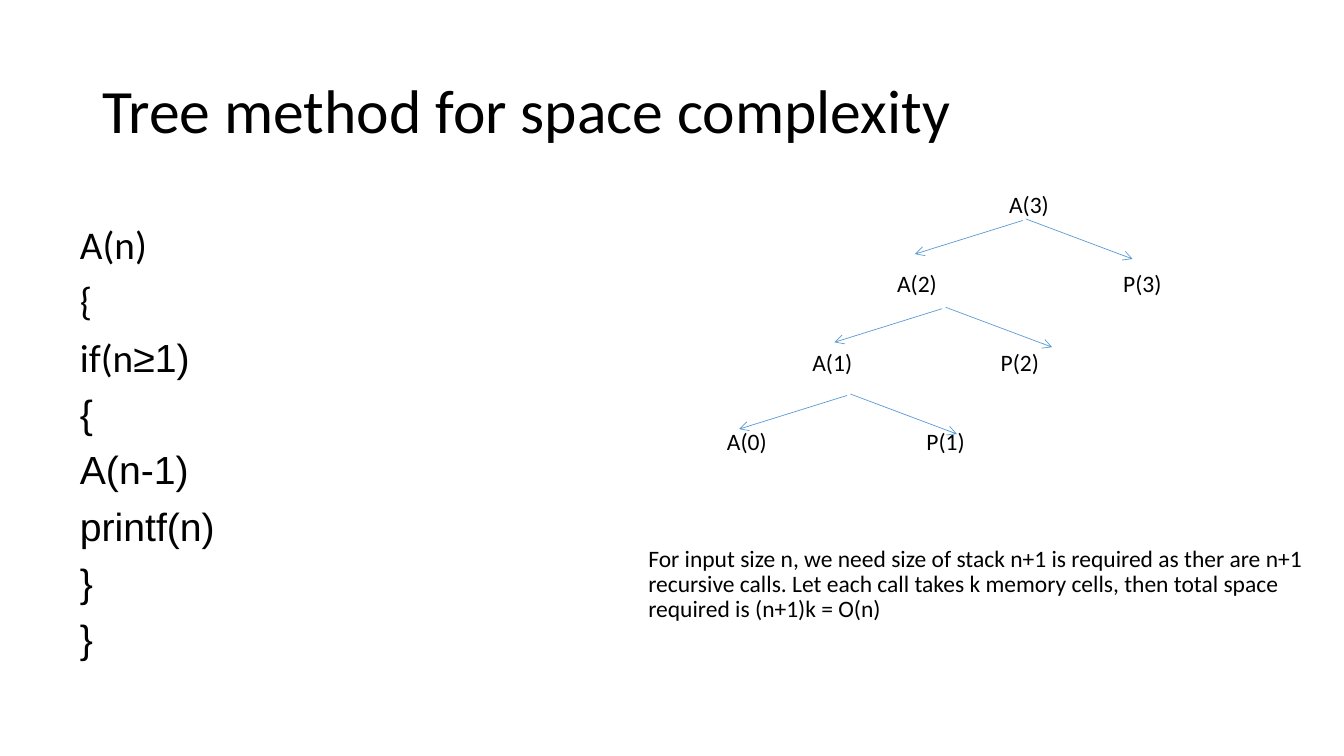
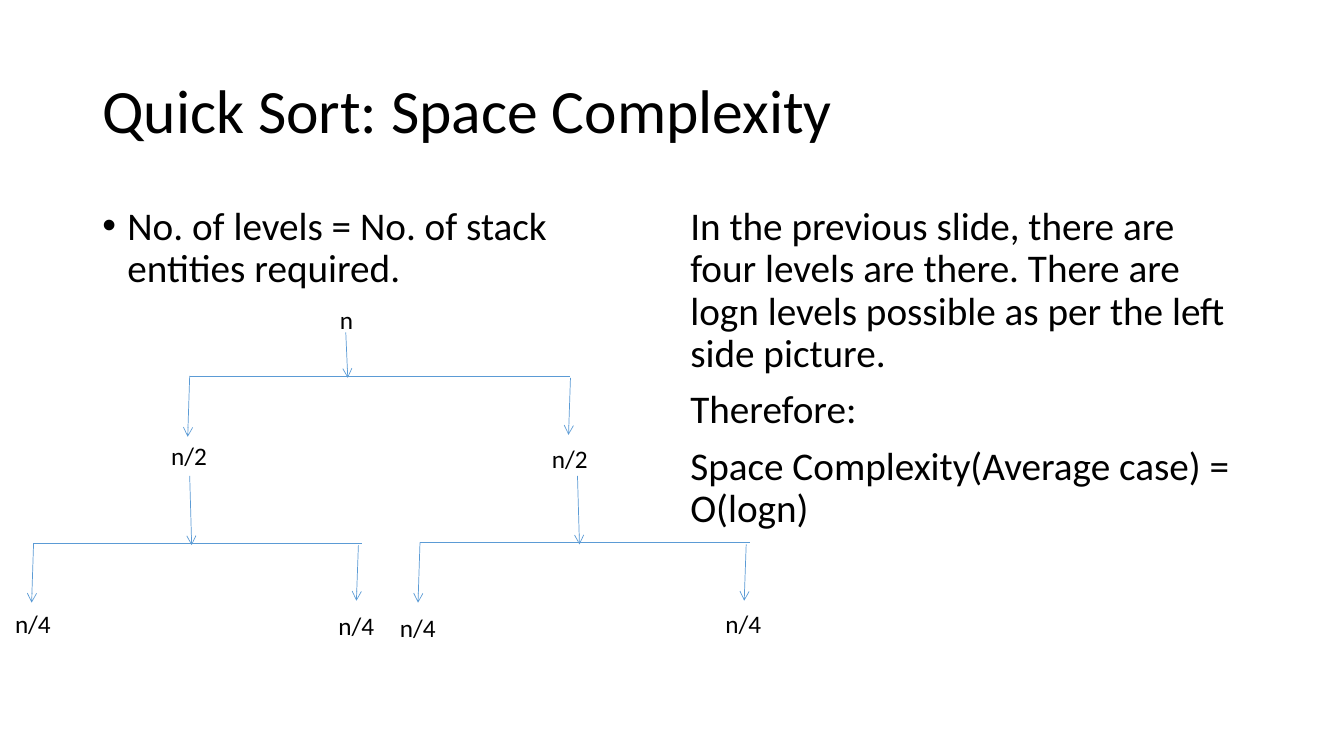
from dataclasses import dataclass

import lxml.etree
import pptx
import pptx.dml.color
import pptx.enum.shapes
import pptx.enum.text
import pptx.oxml.ns
import pptx.util

Pt = pptx.util.Pt
ALIGN = pptx.enum.text.PP_ALIGN
ANCHOR = pptx.enum.text.MSO_ANCHOR

BLACK = "000000"
LINE_BLUE = "5B9BD5"
BODY_FONT = "Calibri"
CODE_FONT = "Arial"
TITLE_SIZE = 44
BODY_SIZE = 28
TREE_SIZE = 16.8
LABEL_SIZE = 18
LINE_SPACING = 0.9
PARAGRAPH_GAP = 10


@dataclass(frozen=True)
class Box:
    left: float
    top: float
    width: float
    height: float


@dataclass(frozen=True)
class Label:
    text: str
    center_x: float
    center_y: float


@dataclass(frozen=True)
class Fork:
    apex_x: float
    apex_y: float


@dataclass(frozen=True)
class Bracket:
    """A stem falling on a bar, with an arrow dropping from each bar end."""
    stem_x: float
    stem_top: float
    left: float
    right: float
    bar_y: float
    drop_bottom: float
    right_inset: float = 0


TITLE_BOX = Box(66, 29, 828, 104)
CODE_BOX = Box(50, 157.5, 389, 343)
CONCLUSION_BOX = Box(456, 387, 484.5, 72)
LEFT_BOX = Box(66, 144, 405, 343)
RIGHT_BOX = Box(486, 144, 408, 343)

CODE_LINES = ["A(n)", "{", "if(n", "{", "A(n-1)", "printf(n)", "}", "}"]
CONDITION_INDEX = 2

TREE_TOP = 145.7
TREE_STEP = 56.4
# Each row lists label text and horizontal centre.
TREE_ROWS = [
    [("A(3)", 735)],
    [("A(2)", 655), ("P(3)", 816)],
    [("A(1)", 594.5), ("P(2)", 728.5)],
    [("A(0)", 533.5), ("P(1)", 675.5)],
]
FORKS = [Fork(733, 156.5), Fork(675.5, 219.5), Fork(607.5, 281.5)]

BRACKETS = [
    Bracket(247, 237.5, 135.5, 407.5, 268.5, 312),
    Bracket(135.5, 340, 24, 258.5, 388, 430.5, 2.5),
    Bracket(412.5, 340, 300, 535.5, 387.5, 430.5, 2.5),
]
LEAN = 1.4
LEVEL_LABELS = [
    Label("n", 247.5, 228),
    Label("n/2", 135, 325.5),
    Label("n/2", 407, 327.5),
    Label("n/4", 23.5, 445),
    Label("n/4", 254.5, 446.5),
    Label("n/4", 298.5, 448.5),
    Label("n/4", 531, 445),
]


def color(hex_code: str) -> pptx.dml.color.RGBColor:
    return pptx.dml.color.RGBColor.from_string(hex_code)


def format_run(run, size: float, font_name: str = BODY_FONT) -> None:
    run.font.name = font_name
    run.font.size = Pt(size)
    run.font.color.rgb = color(BLACK)


def format_paragraphs(text_frame, size: float, alignment=ALIGN.LEFT,
                      line_spacing: float = LINE_SPACING) -> None:
    for index, paragraph in enumerate(text_frame.paragraphs):
        paragraph.alignment = alignment
        paragraph.line_spacing = line_spacing
        paragraph.space_before = Pt(PARAGRAPH_GAP if index else 0)
        for run in paragraph.runs:
            format_run(run, size)


def add_titled_slide(presentation, title: str):
    slide = presentation.slides.add_slide(presentation.slide_layouts[5])
    shape = slide.shapes.title
    shape.left, shape.top = Pt(TITLE_BOX.left), Pt(TITLE_BOX.top)
    shape.width, shape.height = Pt(TITLE_BOX.width), Pt(TITLE_BOX.height)
    text_frame = shape.text_frame
    text_frame.text = title
    text_frame.auto_size = pptx.enum.text.MSO_AUTO_SIZE.NONE
    text_frame.vertical_anchor = ANCHOR.MIDDLE
    format_paragraphs(text_frame, TITLE_SIZE)
    return slide


def add_text(slide, box: Box, lines: list[str], size: float):
    shape = slide.shapes.add_textbox(
        Pt(box.left), Pt(box.top), Pt(box.width), Pt(box.height))
    text_frame = shape.text_frame
    text_frame.word_wrap = True
    text_frame.text = "\n".join(lines)
    format_paragraphs(text_frame, size)
    return text_frame


def add_label(slide, label: Label, size: float) -> None:
    width, height = 44, 22
    box = Box(label.center_x - width / 2, label.center_y - height / 2, width, height)
    text_frame = add_text(slide, box, [label.text], size)
    text_frame.word_wrap = False
    text_frame.margin_left = text_frame.margin_right = 0
    text_frame.margin_top = text_frame.margin_bottom = 0
    text_frame.vertical_anchor = ANCHOR.MIDDLE
    format_paragraphs(text_frame, size, ALIGN.CENTER, 1.0)


def add_bullet(paragraph, indent: float) -> None:
    properties = paragraph._p.get_or_add_pPr()
    properties.set("marL", str(Pt(indent)))
    properties.set("indent", str(-Pt(indent)))
    qualified = pptx.oxml.ns.qn
    lxml.etree.SubElement(properties, qualified("a:buFont"), typeface="Arial")
    lxml.etree.SubElement(properties, qualified("a:buChar"), char="•")


def add_line(slide, start: tuple[float, float], end: tuple[float, float],
             arrow: bool = True) -> None:
    connector = slide.shapes.add_connector(
        pptx.enum.shapes.MSO_CONNECTOR.STRAIGHT,
        Pt(start[0]), Pt(start[1]), Pt(end[0]), Pt(end[1]))
    connector.line.color.rgb = color(LINE_BLUE)
    connector.line.width = Pt(0.5)
    qualified = pptx.oxml.ns.qn
    if arrow:
        lxml.etree.SubElement(
            connector.line._get_or_add_ln(), qualified("a:tailEnd"), type="arrow")
    lxml.etree.SubElement(connector._element.spPr, qualified("a:effectLst"))


def add_fork(slide, fork: Fork) -> None:
    x, y = fork.apex_x, fork.apex_y
    add_line(slide, (x - 2.5, y + 1), (x - 79.5, y + 25))
    add_line(slide, (x, y), (x + 76, y + 28.5))


def add_bracket(slide, bracket: Bracket) -> None:
    bar_y, bottom = bracket.bar_y, bracket.drop_bottom
    right_drop = bracket.right - bracket.right_inset
    add_line(slide, (bracket.left, bar_y), (bracket.right, bar_y), arrow=False)
    add_line(slide, (bracket.left, bar_y), (bracket.left - LEAN, bottom))
    add_line(slide, (right_drop, bar_y + LEAN), (right_drop - LEAN, bottom - LEAN))
    add_line(slide, (bracket.stem_x, bracket.stem_top),
             (bracket.stem_x + LEAN, bar_y + LEAN))


def build_tree_slide(presentation) -> None:
    slide = add_titled_slide(presentation, "Tree method for space complexity")
    for row_index, row in enumerate(TREE_ROWS):
        for text, center_x in row:
            label = Label(text, center_x, TREE_TOP + row_index * TREE_STEP)
            add_label(slide, label, TREE_SIZE)
    for fork in FORKS:
        add_fork(slide, fork)
    add_text(slide, CONCLUSION_BOX, [
        "For input size n, we need size of stack n+1 is required as ther are n+1 "
        "recursive calls. Let each call takes k memory cells, then total space "
        "required is (n+1)k = O(n)"], TREE_SIZE)

    code = add_text(slide, CODE_BOX, CODE_LINES, BODY_SIZE).paragraphs
    comparison = code[CONDITION_INDEX].add_run()
    comparison.text = "≥1)"
    format_run(comparison, BODY_SIZE, CODE_FONT)
    for paragraph in code[CONDITION_INDEX + 1:]:
        for run in paragraph.runs:
            format_run(run, BODY_SIZE, CODE_FONT)


def build_quick_sort_slide(presentation) -> None:
    slide = add_titled_slide(presentation, "Quick Sort: Space Complexity")
    levels = add_text(
        slide, LEFT_BOX, ["No. of levels = No. of stack entities required."], BODY_SIZE)
    add_bullet(levels.paragraphs[0], 18)
    add_text(slide, RIGHT_BOX, [
        "In the previous slide, there are four levels are there. There are logn "
        "levels possible as per the left side picture.",
        "Therefore:",
        "Space Complexity(Average case) = O(logn)"], BODY_SIZE)
    for bracket in BRACKETS:
        add_bracket(slide, bracket)
    for label in LEVEL_LABELS:
        add_label(slide, label, LABEL_SIZE)


def main() -> None:
    presentation = pptx.Presentation()
    presentation.slide_width, presentation.slide_height = Pt(960), Pt(540)
    build_tree_slide(presentation)
    build_quick_sort_slide(presentation)
    presentation.save("out.pptx")


if __name__ == "__main__":
    main()
